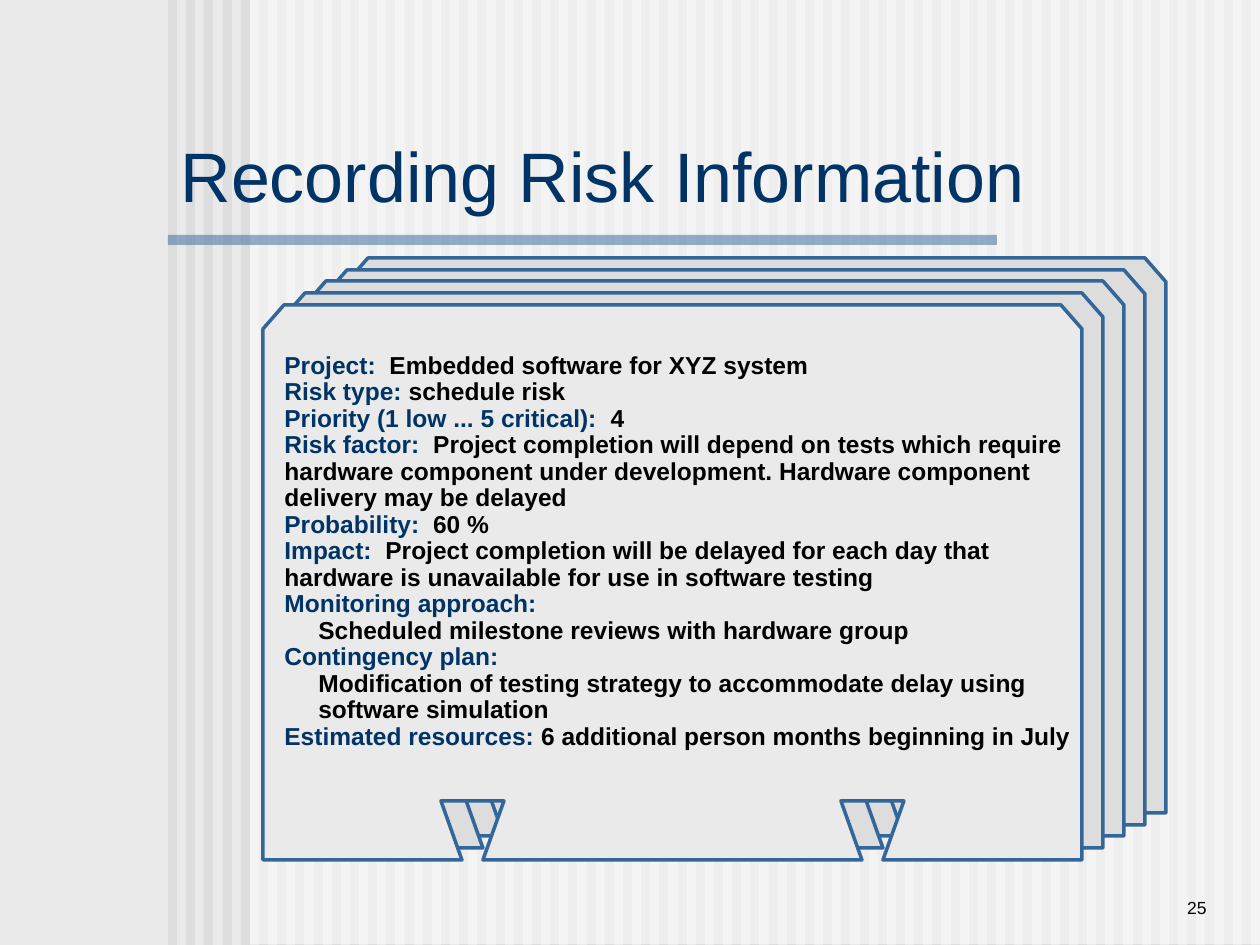
import dataclasses
import typing

import lxml.etree
import pptx
import pptx.dml.color
import pptx.enum.shapes
import pptx.enum.text
import pptx.oxml.ns
import pptx.util

RGB = pptx.dml.color.RGBColor
ANCHOR = pptx.enum.text.MSO_ANCHOR
ALIGN = pptx.enum.text.PP_ALIGN
PALE = RGB(0xEA, 0xEA, 0xEA)
GREY = RGB(0xDD, 0xDD, 0xDD)
WHITE = RGB(0xFF, 0xFF, 0xFF)
BLUE = RGB(0x33, 0x66, 0x99)
NAVY = RGB(0x00, 0x33, 0x66)
BLACK = RGB(0, 0, 0)
FONT = "Arial"
SCALE = 914400 / 126


def px(n: float) -> pptx.util.Emu:
    return pptx.util.Emu(round(n * SCALE))


@dataclasses.dataclass
class Bar:
    left: int
    top: int
    width: int
    height: int
    color: RGB
    alpha: int = 100


@dataclasses.dataclass
class Card:
    left: int
    top: int
    fill: RGB


@dataclasses.dataclass
class Line:
    label: str = ""
    value: str = ""
    indent: int = 0


deck = pptx.Presentation()
deck.slide_width, deck.slide_height = px(1260), px(945)
slide = deck.slides.add_slide(deck.slide_layouts[5])
slide.background.fill.solid()
slide.background.fill.fore_color.rgb = PALE


def draw_bar(bar: Bar) -> None:
    shape = slide.shapes.add_shape(
        pptx.enum.shapes.MSO_SHAPE.RECTANGLE,
        px(bar.left), px(bar.top), px(bar.width), px(bar.height))
    shape.shadow.inherit = False
    shape.line.fill.background()
    shape.fill.solid()
    shape.fill.fore_color.rgb = bar.color
    if bar.alpha < 100:
        tint = shape.element.spPr.find(".//" + pptx.oxml.ns.qn("a:srgbClr"))
        alpha = lxml.etree.SubElement(tint, pptx.oxml.ns.qn("a:alpha"))
        alpha.set("val", str(bar.alpha * 1000))


def draw_card(card: Card) -> None:
    wide, high, cut, drop, notch = 819, 555, 21, 24, 496
    # The right half mirrors the left half
    half = [(220, high), (241, notch), (178, notch), (199, high),
            (0, high), (0, drop), (cut, 0)]
    outline = half + [(wide - x, y) for x, y in reversed(half)]
    spots = [(card.left + x, card.top + y) for x, y in outline]
    pen = slide.shapes.build_freeform(*spots[0], scale=SCALE)
    pen.add_line_segments(spots[1:], close=True)
    shape = pen.convert_to_shape()
    shape.shadow.inherit = False
    shape.fill.solid()
    shape.fill.fore_color.rgb = card.fill
    shape.line.color.rgb = BLUE
    shape.line.width = pptx.util.Pt(2)


def style(run: typing.Any, size: int, color: RGB, bold: bool = False) -> None:
    run.font.name = FONT
    run.font.size = pptx.util.Pt(size)
    run.font.bold = bold
    run.font.color.rgb = color


def add_box(left: int, top: int, width: int, height: int) -> typing.Any:
    box = slide.shapes.add_textbox(px(left), px(top), px(width), px(height))
    box.text_frame.word_wrap = True
    return box.text_frame


# Striped backdrop, veil and title rule
for i in range(60):
    draw_bar(Bar(168 + round(i * 18.2), 0, 9, 945, GREY))
draw_bar(Bar(250, 0, 1010, 944, WHITE, 50))
draw_bar(Bar(168, 235, 829, 10, BLUE, 50))

# Slide number
frame = add_box(1040, 861, 179, 63)
frame.vertical_anchor = ANCHOR.BOTTOM
frame.text = "25"
frame.paragraphs[0].alignment = ALIGN.RIGHT
style(frame.paragraphs[0].runs[0], 10, BLACK)

# Stack of cards, back to front
for i in range(4, -1, -1):
    draw_card(Card(263 + round(i * 20.9), 305 - round(i * 11.8),
                   GREY if i else PALE))

# Risk record on the front card
LINES = [
    Line("Project:", "  Embedded software for XYZ system"),
    Line("Risk type:", " schedule risk"),
    Line("Priority (1 low ... 5 critical):", "  4"),
    Line("Risk factor:",
         "  Project completion will depend on tests which require"),
    Line("", "hardware component under development. Hardware component"),
    Line("", "delivery may be delayed"),
    Line("Probability:", "  60 %"),
    Line("Impact:", "  Project completion will be delayed for each day that"),
    Line("", "hardware is unavailable for use in software testing"),
    Line("Monitoring approach:"),
    Line("", "Scheduled milestone reviews with hardware group", 34),
    Line("Contingency plan:"),
    Line("", "Modification of testing strategy to accommodate delay using", 34),
    Line("", "software simulation", 34),
    Line("Estimated resources:",
         " 6 additional person months beginning in July"),
]
frame = add_box(272, 347, 811, 465)
frame.margin_right = 0
for i, line in enumerate(LINES):
    para = frame.add_paragraph() if i else frame.paragraphs[0]
    para.line_spacing = 0.9
    if line.indent:
        para._p.get_or_add_pPr().set("marL", str(px(line.indent)))
    for text, color in ((line.label, NAVY), (line.value, BLACK)):
        if text:
            run = para.add_run()
            run.text = text
            style(run, 14, color, True)

# Title, in front
title = slide.shapes.title
title.left, title.top, title.width, title.height = map(px, (168, 136, 892, 78))
frame = title.text_frame
frame.text = "Recording Risk Information"
frame.vertical_anchor = ANCHOR.MIDDLE
frame.paragraphs[0].alignment = ALIGN.LEFT
style(frame.paragraphs[0].runs[0], 40, NAVY)
title.element.getparent().append(title.element)

deck.save("out.pptx")
